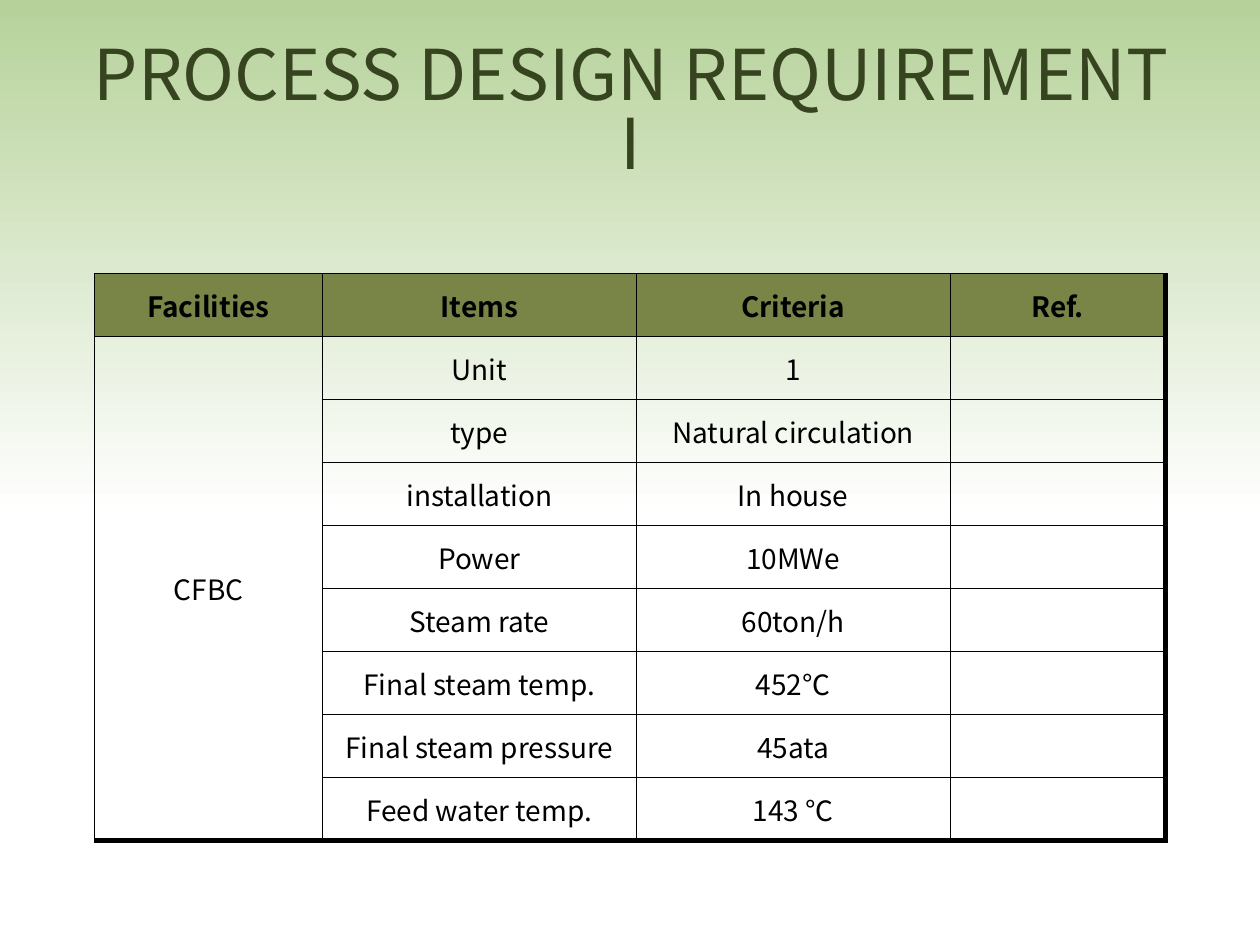
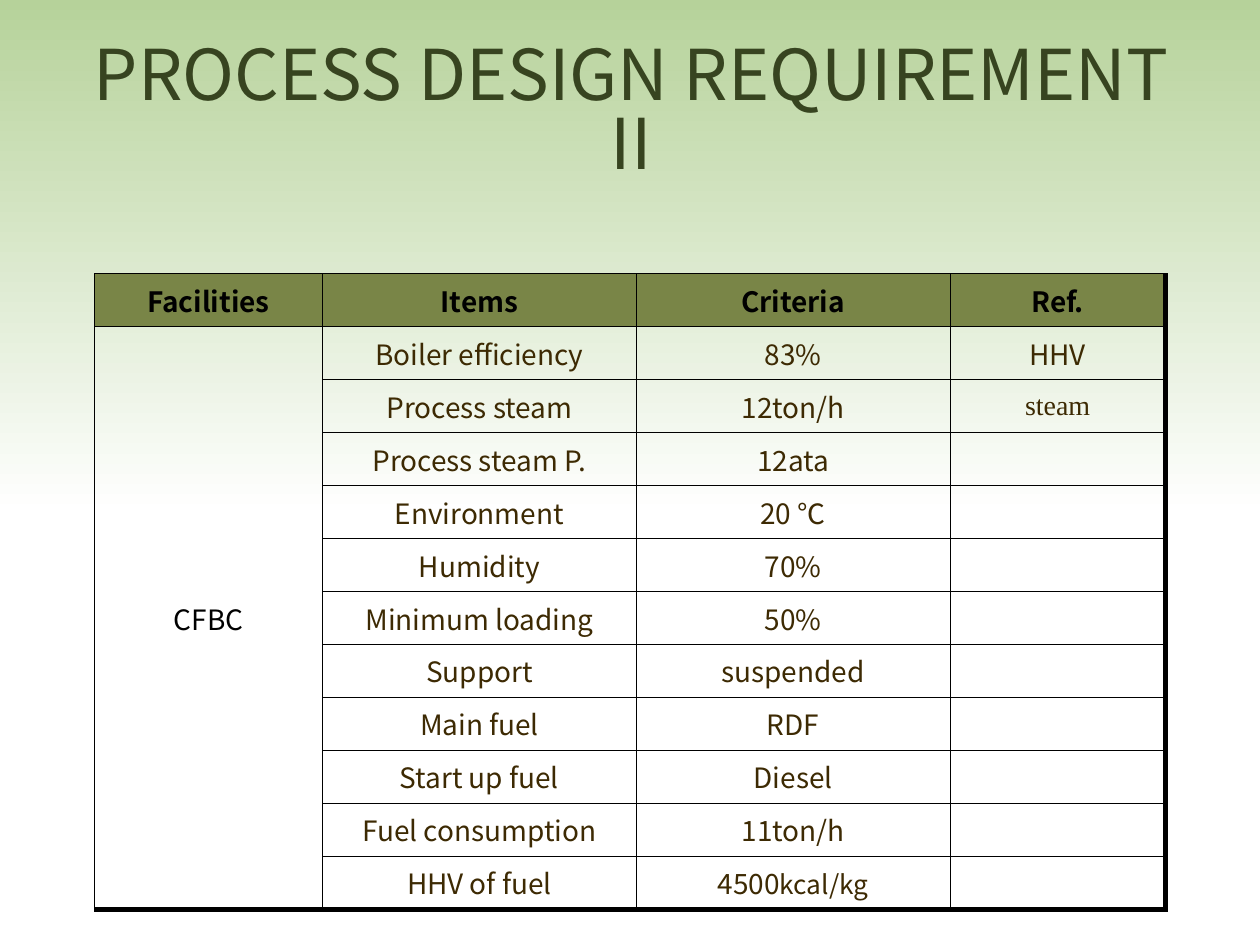
"""Build two slides that list the process design requirements of a CFBC boiler."""
from lxml.etree import SubElement, Element
from pptx import Presentation
from pptx.dml.color import RGBColor as RGB
from pptx.enum.shapes import MSO_SHAPE as SHAPE
from pptx.enum.text import MSO_ANCHOR as ANCHOR, MSO_AUTO_SIZE as AUTO, PP_ALIGN as ALIGN
from pptx.oxml.ns import qn
from pptx.util import Inches, Pt

HUES = {"green": "B6D29A", "white": "FFFFFF", "title": "374420",
        "head": "798547", "black": "000000", "brown": "3D2A03"}
FONT = "Noto Sans CJK KR"
HEADS = ["Facilities", "Items", "Criteria", "Ref."]
WIDTHS = [1.81, 2.49, 2.49, 1.71]
PAGES = [
    ("I", "black", [0.5] * 9, [
        ("Unit", "1", ""),
        ("type", "Natural circulation", ""),
        ("installation", "In house", ""),
        ("Power", "10MWe", ""),
        ("Steam rate", "60ton/h", ""),
        ("Final steam temp.", "452℃", ""),
        ("Final steam pressure", "45ata", ""),
        ("Feed water temp.", "143 ℃", ""),
    ]),
    ("II", "brown", [0.38] + [0.37] * 9 + [0.42, 0.37], [
        ("Boiler efficiency", "83%", "HHV"),
        ("Process steam", "12ton/h", "steam"),
        ("Process steam P.", "12ata", ""),
        ("Environment", "20 ℃", ""),
        ("Humidity", "70%", ""),
        ("Minimum loading", "50%", ""),
        ("Support", "suspended", ""),
        ("Main fuel", "RDF", ""),
        ("Start up fuel", "Diesel", ""),
        ("Fuel consumption", "11ton/h", ""),
        ("HHV of fuel", "4500", ""),
    ]),
]


def write(frame, text, size=16, hue="black", bold=False, font=FONT):
    para = frame.paragraphs[0]
    para.alignment = ALIGN.CENTER
    run = para.add_run()
    run.text = text
    run.font.size, run.font.bold, run.font.name = Pt(size), bold, font
    run.font.color.rgb = RGB.from_string(HUES[hue])


def edge(cell, sides):
    props = cell.get_or_add_tcPr()
    for spot, (side, width) in enumerate(sides.items()):
        line = Element(qn(f"a:ln{side}"), w=str(Pt(width)))
        fill = SubElement(line, qn("a:solidFill"))
        SubElement(fill, qn("a:srgbClr"), val=HUES["black"])
        props.insert(spot, line)


deck = Presentation()
deck.slide_width, deck.slide_height = Inches(10), Inches(7.5)

for part, hue, heights, rows in PAGES:
    slide = deck.slides.add_slide(deck.slide_layouts[5])
    if part == "I":
        band = slide.shapes.add_shape(SHAPE.RECTANGLE, 0, 0, Inches(10), Inches(4.08))
        band.shadow.inherit = False
        band.line.fill.background()
        band.fill.gradient()
        band.fill.gradient_angle = 270
        for stop, spot, tint in zip(band.fill.gradient_stops, (0, 1), ("green", "white")):
            stop.position = spot
            stop.color.rgb = RGB.from_string(HUES[tint])
        band.element.xpath("./p:nvSpPr/p:cNvPr")[0].set("id", "99")
        deck.slide_master.shapes.element.insert(2, band.element)

    title = slide.shapes.title
    title.left, title.top = Inches(0.51), Inches(0.28)
    title.width, title.height = Inches(9), Inches(1.25)
    frame = title.text_frame
    frame.word_wrap, frame.auto_size = True, AUTO.NONE
    frame.vertical_anchor = ANCHOR.MIDDLE
    frame.paragraphs[0].line_spacing = 0.82
    write(frame, f"PROCESS DESIGN REQUIREMENT {part}", size=40, hue="title")

    last = len(rows)
    table = slide.shapes.add_table(last + 1, 4, Inches(0.75), Inches(2.17),
                                   Inches(8.5), Inches(4.5))
    grid = table.table
    grid.first_row = grid.horz_banding = False
    for col, width in zip(grid.columns, WIDTHS):
        col.width = Inches(width)
    for row, height in zip(grid.rows, heights):
        row.height = Inches(height)
    grid.cell(1, 0).merge(grid.cell(last, 0))

    lines = [HEADS] + [("CFBC" if r == 0 else "", *row) for r, row in enumerate(rows)]
    for r, line in enumerate(lines):
        for c, text in enumerate(line):
            cell = grid.cell(r, c)
            cell.vertical_anchor = ANCHOR.MIDDLE
            if r == 0:
                cell.fill.solid()
                cell.fill.fore_color.rgb = RGB.from_string(HUES["head"])
            else:
                cell.fill.background()
            if text:
                write(cell.text_frame, text, bold=r == 0,
                      hue=hue if r and c else "black",
                      font="Times New Roman" if text == "steam" else FONT)
    if part == "II":
        write(grid.cell(last, 2).text_frame, "kcal/kg", size=15, hue=hue)

    for n, cell in enumerate(table.element.iter(qn("a:tc"))):
        r, c = divmod(n, 4)
        low = r == last or (r == 1 and c == 0)
        edge(cell, {"L": 0.25, "R": 3 if c == 3 else 0.25,
                    "T": 0.25, "B": 3 if low else 0.25})
    for shape in (title, table):
        for props in shape.element.iter(qn("a:rPr")):
            SubElement(props, qn("a:ea"), typeface=FONT)

deck.save("out.pptx")
